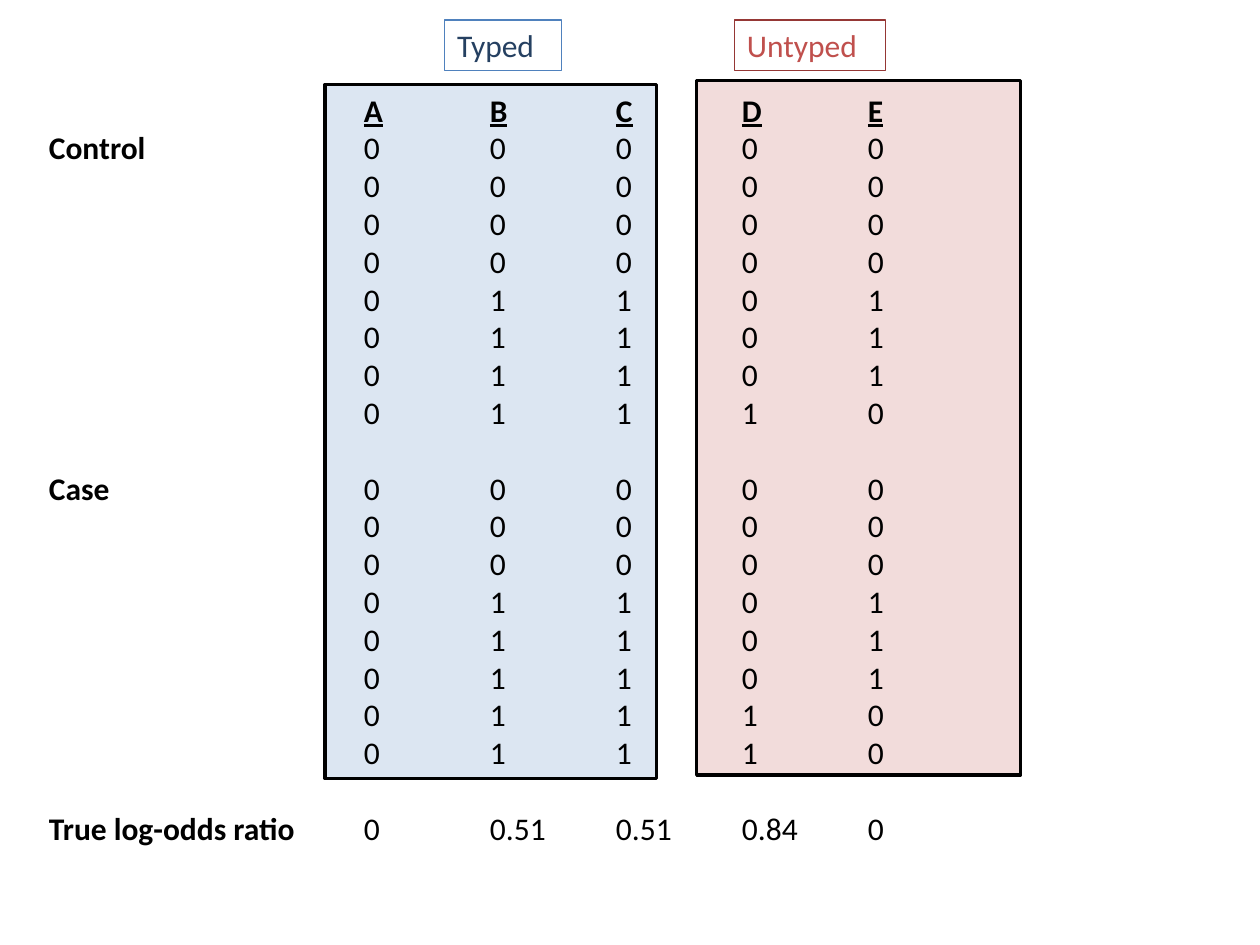
from lxml.etree import SubElement
from pptx import Presentation
from pptx.dml.color import RGBColor
from pptx.enum.shapes import MSO_SHAPE as Shape
from pptx.enum.text import MSO_ANCHOR as Anchor, PP_ALIGN as Align
from pptx.oxml.ns import qn
from pptx.util import Inches, Pt

LINE = 21.6
STOPS = [2.5, 3.5, 4.5, 5.5, 6.5]
GROUPS = [
    ("Control", ["00000"] * 4 + ["01101"] * 3 + ["01110"]),
    ("Case", ["00000"] * 3 + ["01101"] * 3 + ["01110"] * 2),
]
RATIOS = ["0", "0.51", "0.51", "0.84", "0"]


def tint(code):
    """Turn a hex string into a colour."""
    return RGBColor.from_string(code)


def write(para, text, color="000000", size=18, bold=False, under=False):
    """Add a formatted run to a paragraph."""
    run = para.add_run()
    run.text = text
    font = run.font
    font.name, font.size = "Calibri", Pt(size)
    font.bold, font.underline = bold, under
    font.color.rgb = tint(color)


def panel(slide, box, line, width, fill=None):
    """Draw an outlined rectangle, filled when a colour is given."""
    shape = slide.shapes.add_shape(Shape.RECTANGLE, *map(Inches, box))
    shape.shadow.inherit = False
    if fill:
        shape.fill.solid()
        shape.fill.fore_color.rgb = tint(fill)
    else:
        shape.fill.background()
    shape.line.color.rgb = tint(line)
    shape.line.width = Pt(width)
    return shape


def label(slide, box, text, color, line):
    """Draw an outlined label above a panel."""
    frame = panel(slide, box, line, 0.75).text_frame
    frame.word_wrap = False
    frame.vertical_anchor = Anchor.TOP
    para = frame.paragraphs[0]
    para.alignment = Align.LEFT
    write(para, text, color)


def row(para, name, cells, gap=False, head=False):
    """Write a row label and its cells on shared tab stops."""
    para.space_before = Pt(LINE if gap else 0)
    props = para._p.get_or_add_pPr()
    tabs = SubElement(props, qn("a:tabLst"))
    for stop in STOPS:
        SubElement(tabs, qn("a:tab"), pos=str(Inches(stop)), algn="l")
    if name:
        write(para, name, bold=True)
    for cell in cells:
        write(para, "\t")
        write(para, cell, bold=head, under=head)


def matrix(slide, box):
    """Write the genotype rows of both groups and the ratios."""
    frame = slide.shapes.add_textbox(*map(Inches, box)).text_frame
    frame.word_wrap = True
    row(frame.paragraphs[0], "", "ABCDE", head=True)
    for order, (name, lines) in enumerate(GROUPS):
        for pos, cells in enumerate(lines):
            first = pos == 0
            row(frame.add_paragraph(), name if first else "", cells,
                gap=first and order > 0)
    row(frame.add_paragraph(), "True log-odds ratio", RATIOS, gap=True)


def main():
    """Build and save the slide."""
    deck = Presentation()
    deck.slide_width, deck.slide_height = Inches(10), Inches(7.5)
    slide = deck.slides.add_slide(deck.slide_layouts[6])
    panel(slide, (5.53, 0.64, 2.57, 5.51), "000000", 2, "F2DCDB")
    panel(slide, (2.58, 0.67, 2.63, 5.51), "000000", 2, "DCE6F2")
    matrix(slide, (0.29, 0.67, 8.36, 6.46))
    label(slide, (3.53, 0.16, 0.93, 0.4), "Typed", "254061", "4F81BD")
    label(slide, (5.83, 0.16, 1.2, 0.4), "Untyped", "C0504D", "953735")
    deck.save("out.pptx")


if __name__ == "__main__":
    main()
